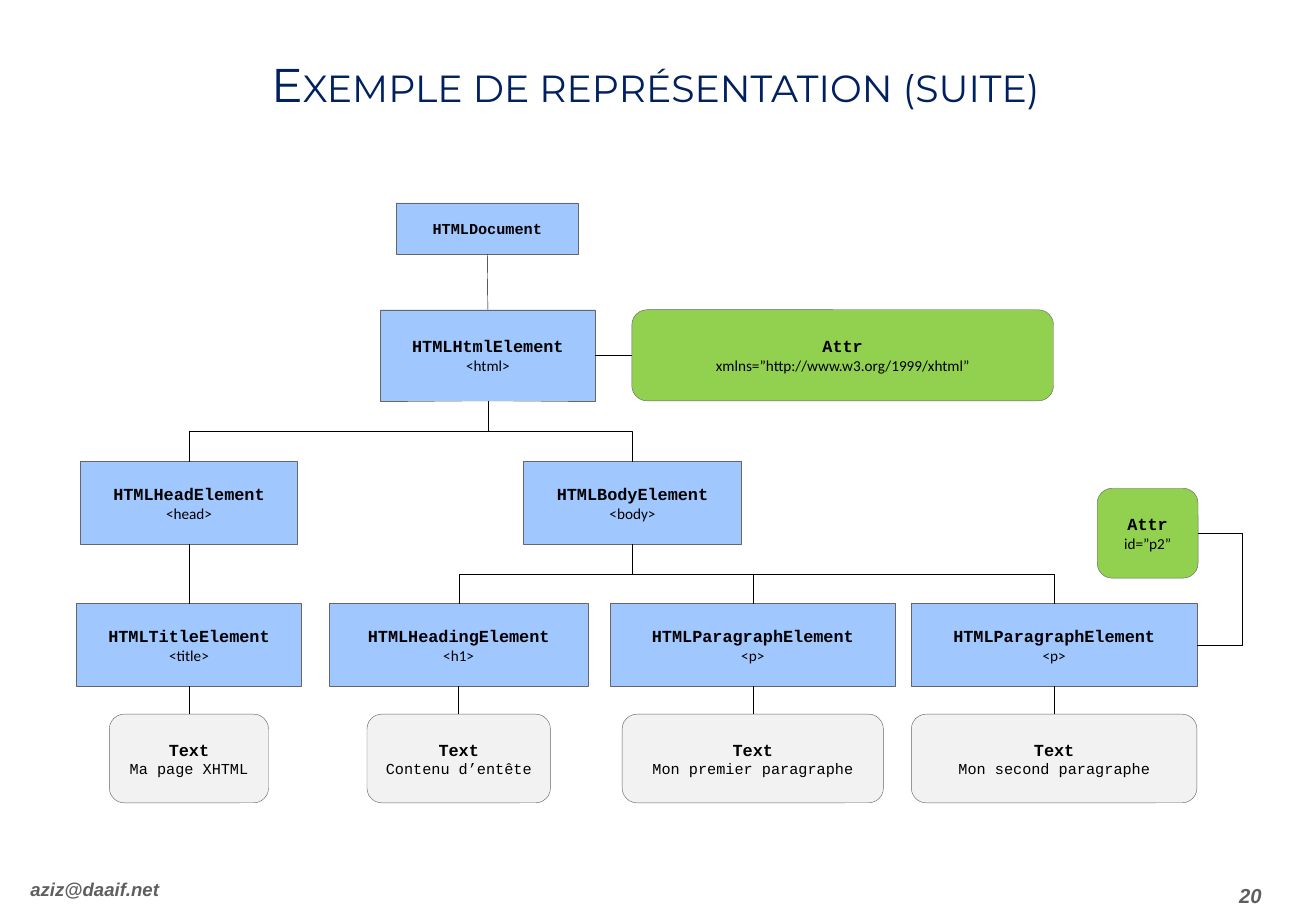
from pptx import Presentation
from pptx import util as u
from pptx.dml.color import RGBColor
from pptx.enum import shapes, text
from pptx.oxml import ns
from lxml import etree

PX = 9144  # 100 px to the inch
BLUE, GREEN, GREY = "A1C7FF", "92D050", "F2F2F2"
BORDER, BLACK, NAVY, FOOTER_GREY = "666666", "000000", "002060", "5F5F5F"
TOP, LEFT, BOTTOM, RIGHT = range(4)  # connection sites


def px(length):
    return u.Emu(length * PX)


def color(hex_code):
    return RGBColor.from_string(hex_code)


def write(paragraph, words, size, font, ink=BLACK, bold=False, italic=False,
          align=text.PP_ALIGN.CENTER, small_caps=False):
    paragraph.alignment = align
    run = paragraph.add_run()
    run.text = words
    run.font.size, run.font.name = u.Pt(size), font
    run.font.bold, run.font.italic = bold, italic
    run.font.color.rgb = color(ink)
    if small_caps:
        run.font._element.set("cap", "small")


def set_frame(frame, side=0, edge=5):
    frame.word_wrap = True
    frame.vertical_anchor = text.MSO_ANCHOR.MIDDLE
    frame.margin_left = frame.margin_right = px(side)
    frame.margin_top = frame.margin_bottom = px(edge)


def label(slide, box, words, size, font, **style):
    frame = slide.shapes.add_textbox(*map(px, box)).text_frame
    set_frame(frame)
    write(frame.paragraphs[0], words, size, font, **style)
    return frame.paragraphs[0]


def node(slide, center, top, width, height, fill, kind, content=None,
         font="Calibri"):
    """A tree node: bold interface name over its tag, attribute or text."""
    outline = (shapes.MSO_SHAPE.RECTANGLE if fill == BLUE
               else shapes.MSO_SHAPE.ROUNDED_RECTANGLE)
    box = slide.shapes.add_shape(outline, px(center - width // 2), px(top),
                                 px(width), px(height))
    box.shadow.inherit = False
    box.fill.solid()
    box.fill.fore_color.rgb = color(fill)
    box.line.color.rgb, box.line.width = color(BORDER), u.Pt(0.25)
    frame = box.text_frame
    set_frame(frame)
    heading = frame.paragraphs[0]
    write(heading, kind, 10 if content else 9, "Courier New", bold=True)
    if content:
        write(frame.add_paragraph(), content, 9, font)
    else:
        heading.space_after = u.Pt(10)
    return box


def connector(slide, kind, *ends):
    line = slide.shapes.add_connector(kind, *map(u.Emu, ends))
    line.line.color.rgb, line.line.width = color(BLACK), u.Pt(0.25)
    etree.SubElement(line._element.spPr, ns.qn("a:effectLst"))
    return line


def link(slide, start, end, start_site=BOTTOM, end_site=TOP):
    line = connector(slide, shapes.MSO_CONNECTOR.STRAIGHT, 0, 0, 0, 0)
    line.begin_connect(start, start_site)
    line.end_connect(end, end_site)


def branch(slide, parent, child):
    """An elbow that leaves the parent downwards: a turned connector."""
    start_x = parent.left + parent.width // 2
    start_y = parent.top + parent.height
    end_x = child.left + child.width // 2
    drop, reach = child.top - start_y, abs(end_x - start_x)
    left = (start_x + end_x - drop) // 2
    top = (start_y + child.top - reach) // 2
    line = connector(slide, shapes.MSO_CONNECTOR.ELBOW,
                     left, top, left + drop, top + reach)
    frame = line._element.spPr.find(ns.qn("a:xfrm"))
    if end_x < start_x:
        frame.set("rot", str(90 * 60000))
    else:
        frame.set("rot", str(270 * 60000))
        frame.set("flipH", "1")


def side_loop(slide, lower, upper, reach):
    """An elbow that bulges out to the right of two stacked nodes."""
    start_x, end_x = lower.left + lower.width, upper.left + upper.width
    line = connector(slide, shapes.MSO_CONNECTOR.ELBOW,
                     start_x, lower.top + lower.height // 2,
                     end_x, upper.top + upper.height // 2)
    guides = line._element.spPr.find(ns.qn("a:prstGeom")).get_or_add_avLst()
    bend = round(px(reach) / (end_x - start_x) * 100000)
    etree.SubElement(guides, ns.qn("a:gd"), name="adj1", fmla=f"val {bend}")


def title(slide, box):
    heading = label(slide, box, "Exemple de représentation (suite)", 28,
                    "Montserrat", ink=NAVY, small_caps=True)
    heading.line_spacing, heading.space_before = 0.8, u.Pt(14)


def dom_tree(slide, left, top):
    def place(center, row, *details, **style):
        return node(slide, left + center, top + row, *details, **style)

    # Document, root element and its two children
    document = place(338, 0, 150, 42, BLUE, "HTMLDocument")
    html = place(338, 88, 177, 75, BLUE, "HTMLHtmlElement", "<html>")
    namespace = place(630, 88, 347, 75, GREEN, "Attr",
                      "xmlns=”http://www.w3.org/1999/xhtml”")
    head = place(92, 213, 179, 68, BLUE, "HTMLHeadElement", "<head>")
    body = place(457, 213, 179, 68, BLUE, "HTMLBodyElement", "<body>")
    link(slide, document, html)
    link(slide, html, namespace, RIGHT, LEFT)
    for child in (head, body):
        branch(slide, html, child)

    # Leaf elements, each with its text node below
    leaves = [
        (92, 185, "HTMLTitleElement", "<title>", 131, "Ma page XHTML"),
        (314, 213, "HTMLHeadingElement", "<h1>", 151, "Contenu d’entête"),
        (556, 235, "HTMLParagraphElement", "<p>", 215, "Mon premier paragraphe"),
        (804, 235, "HTMLParagraphElement", "<p>", 235, "Mon second paragraphe"),
    ]
    elements = []
    for center, width, kind, tag, text_width, words in leaves:
        element = place(center, 330, width, 68, BLUE, kind, tag)
        content = place(center, 421, text_width, 73, GREY, "Text", words,
                        font="Courier New")
        link(slide, element, content)
        elements.append(element)
    link(slide, head, elements[0])
    for element in elements[1:]:
        branch(slide, body, element)

    # Attribute of the second paragraph
    identifier = place(881, 235, 83, 74, GREEN, "Attr", "id=”p2”")
    side_loop(slide, elements[-1], identifier, 38)


def footer(slide, top):
    style = dict(ink=FOOTER_GREY, bold=True, italic=True)
    label(slide, (25, top, 257, 36), "aziz@daaif.net", 11, "Arial",
          align=text.PP_ALIGN.LEFT, **style)
    label(slide, (974, top + 10, 110, 26), "20", 12, "Arial", **style)


def main():
    deck = Presentation()
    deck.slide_width, deck.slide_height = px(1083), px(750)
    slide = deck.slides.add_slide(deck.slide_layouts[6])
    title(slide, (38, 36, 1003, 75))
    dom_tree(slide, 63, 167)
    footer(slide, 714)
    deck.save("out.pptx")


if __name__ == "__main__":
    main()
